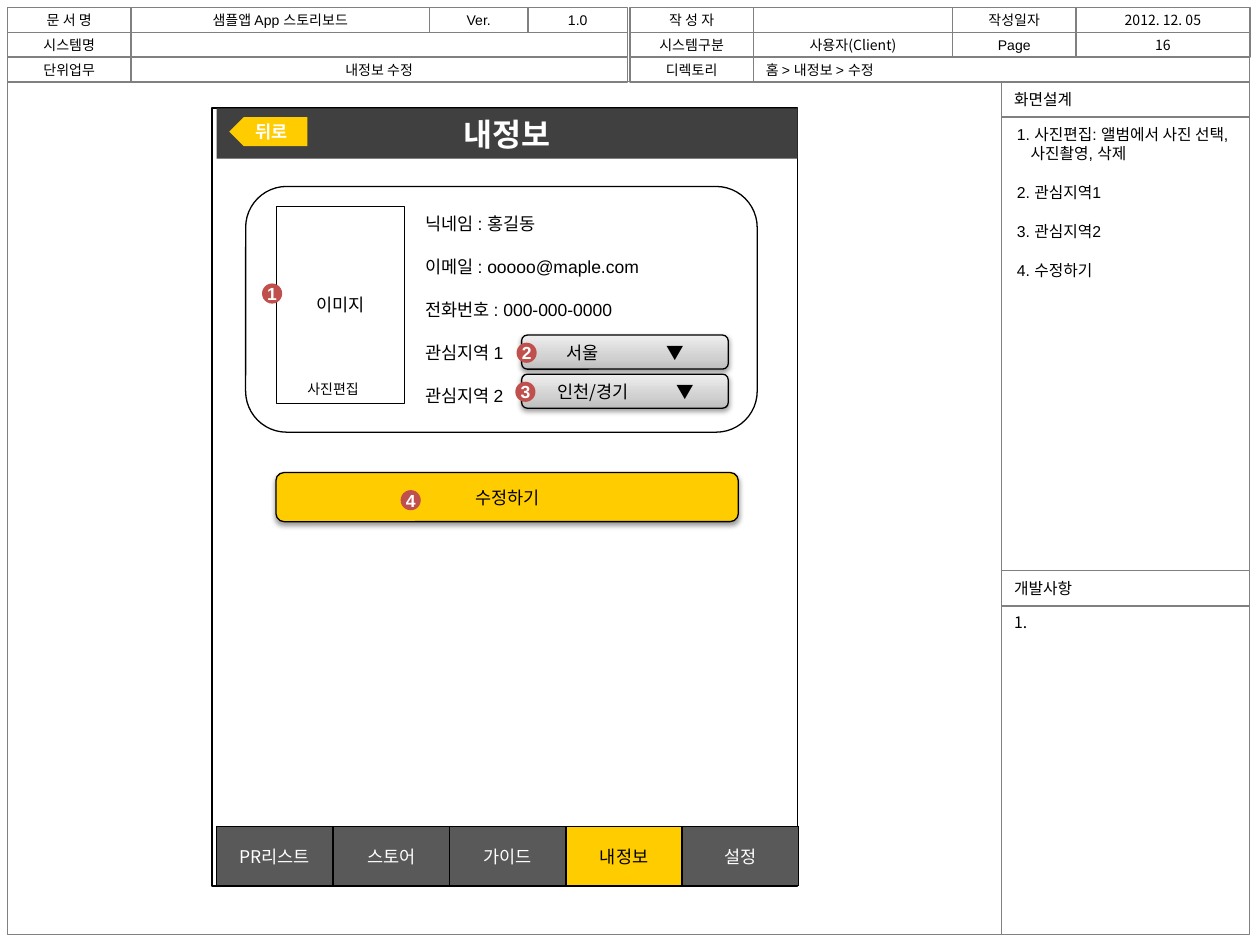
"""Build the storyboard slide for the profile editing screen of a mobile app."""
from lxml.etree import SubElement
from pptx import Presentation
from pptx.dml.color import RGBColor
from pptx.enum.shapes import MSO_SHAPE
from pptx.enum.text import MSO_ANCHOR, MSO_AUTO_SIZE, PP_ALIGN
from pptx.oxml import parse_xml
from pptx.oxml.ns import nsdecls, qn
from pptx.util import Inches, Pt

BLACK = RGBColor(0x00, 0x00, 0x00)
WHITE = RGBColor(0xFF, 0xFF, 0xFF)
GRAY = RGBColor(0x80, 0x80, 0x80)
DARK = RGBColor(0x40, 0x40, 0x40)
TAB_GRAY = RGBColor(0x59, 0x59, 0x59)
YELLOW = RGBColor(0xFF, 0xCC, 0x00)
RED = RGBColor(0xC0, 0x50, 0x4D)
GRADIENT = ((0, "BDBDBD"), (35, "D1D1D1"), (100, "EEEEEE"))
ARIAL, NOTO = "Arial", "Noto Sans CJK KR"
RECT, ROUNDED = MSO_SHAPE.RECTANGLE, MSO_SHAPE.ROUNDED_RECTANGLE
LEFT, CENTER = PP_ALIGN.LEFT, PP_ALIGN.CENTER
TOP, MIDDLE = MSO_ANCHOR.TOP, MSO_ANCHOR.MIDDLE

HEADER_EDGES = (0.06, 1.04, 3.41, 4.19, 4.98, 5.0, 5.98, 7.56, 8.54, 9.92)
HEADER_TOP, HEADER_HEIGHT = 0.06, 0.197
HEADER_ROWS = [
    [(0, 1, "문 서 명", ARIAL), (1, 2, "샘플앱 App 스토리보드", ARIAL), (2, 3, "Ver.", ARIAL),
     (3, 4, "1.0", ARIAL), (5, 6, "작 성 자", ARIAL), (6, 7, "", ARIAL),
     (7, 8, "작성일자", ARIAL), (8, 9, "2012. 12. 05", NOTO)],
    [(0, 1, "시스템명", ARIAL), (1, 4, "", ARIAL), (5, 6, "시스템구분", ARIAL),
     (6, 7, "사용자(Client)", NOTO), (7, 8, "Page", ARIAL), (8, 9, "16", NOTO)],
    [(0, 1, "단위업무", ARIAL), (1, 4, "내정보 수정", ARIAL), (5, 6, "디렉토리", ARIAL),
     (6, 9, "홈 > 내정보 > 수정", ARIAL)],
]
PANELS = [
    ((0.06, 0.65, 7.89, 6.77), "", {}),
    ((7.95, 0.65, 1.97, 0.28), "화면설계", {}),
    ((7.95, 0.93, 1.97, 3.6), "", {}),
    ((7.95, 4.53, 1.97, 0.28), "개발사항", {}),
    ((7.95, 4.81, 1.97, 2.61), "1.", {"font": NOTO, "anchor": TOP}),
]
NOTES = ["1. 사진편집: 앨범에서 사진 선택,\v사진촬영, 삭제", "2. 관심지역1", "3. 관심지역2", "4. 수정하기"]
PROFILE = ["닉네임 : 홍길동", "이메일 : ooooo@maple.com", "전화번호 : 000-000-0000",
           "관심지역 1", "관심지역 2"]
SELECTS = [(2.66, "서울", 0.34, 0.8), (2.97, "인천/경기", 0.27, 0.95)]
TABS = ["PR리스트", "스토어", "가이드", "내정보", "설정"]
ACTIVE_TAB = "내정보"
BADGES = [("1", 2.08, 2.25), ("2", 4.1, 2.72), ("3", 4.09, 3.03), ("4", 3.18, 3.89)]

presentation = Presentation()
presentation.slide_width, presentation.slide_height = Inches(10), Inches(7.5)
slide = presentation.slides.add_slide(presentation.slide_layouts[1])


def place(shape, bounds):
    for name, value in zip(("left", "top", "width", "height"), bounds):
        setattr(shape, name, Inches(value))


def write(frame, lines, size=10, font=ARIAL, color=BLACK, bold=False, align=CENTER,
          anchor=MIDDLE, gap=0, insets=(0.1, 0.05, 0.1, 0.05)):
    margins = ("margin_left", "margin_top", "margin_right", "margin_bottom")
    settings = dict(zip(margins, map(Inches, insets)))
    settings.update(word_wrap=True, auto_size=MSO_AUTO_SIZE.NONE, vertical_anchor=anchor)
    for name, value in settings.items():
        setattr(frame, name, value)
    for index, line in enumerate(lines):
        paragraph = frame.add_paragraph() if index else frame.paragraphs[0]
        paragraph.text = line
        paragraph.alignment = align
        paragraph.space_before = Pt(gap if index else 0)
        for run in paragraph.runs:
            for name, value in {"size": Pt(size), "name": font, "bold": bold}.items():
                setattr(run.font, name, value)
            run.font.color.rgb = color


def add_box(kind, bounds, text="", fill=None, line=None, width=0.75, **format_values):
    shape = slide.shapes.add_shape(kind, *map(Inches, bounds))
    shape.shadow.inherit = False
    if fill is None:
        shape.fill.background()
    else:
        shape.fill.solid()
        shape.fill.fore_color.rgb = fill
    if line is None:
        shape.line.fill.background()
    else:
        shape.line.color.rgb = line
        shape.line.width = Pt(width)
    if text:
        write(shape.text_frame, [text], **format_values)
    return shape


def add_text(bounds, lines, **format_values):
    box = slide.shapes.add_textbox(*map(Inches, bounds))
    write(box.text_frame, lines, **format_values)


def add_shadow(shape):
    effects = shape.element.spPr.find(qn("a:effectLst"))
    effects.append(parse_xml(
        f'<a:outerShdw {nsdecls("a")} blurRad="39370" dist="20320" dir="5400000" rotWithShape="0">'
        '<a:srgbClr val="000000"><a:alpha val="38000"/></a:srgbClr></a:outerShdw>'))


def add_gradient(shape):
    stops = "".join(f'<a:gs pos="{position * 1000}"><a:srgbClr val="{color}"/></a:gs>'
                    for position, color in GRADIENT)
    properties = shape.element.spPr
    properties.replace(properties.find(qn("a:noFill")), parse_xml(
        f'<a:gradFill {nsdecls("a")}><a:gsLst>{stops}</a:gsLst>'
        '<a:lin ang="16200000" scaled="0"/></a:gradFill>'))


for row, cells in enumerate(HEADER_ROWS):
    for first, last, text, font in cells:
        left, right = HEADER_EDGES[first], HEADER_EDGES[last]
        add_box(RECT, (left, HEADER_TOP + row * HEADER_HEIGHT, right - left, HEADER_HEIGHT), text,
                line=GRAY, size=8, font=font, align=LEFT if ">" in text else CENTER)

for bounds, text, format_values in PANELS:
    add_box(RECT, bounds, text, line=GRAY, size=9, align=LEFT, **format_values)

notes = slide.placeholders[1]
place(notes, (7.97, 0.94, 2.03, 1.31))
write(notes.text_frame, NOTES, size=9, align=LEFT, anchor=TOP, gap=11.4, insets=(0.1, 0.05, 0, 0.05))
for paragraph in notes.text_frame.paragraphs:
    properties = paragraph._p.get_or_add_pPr()
    properties.set("marL", str(Inches(0.11)))
    properties.set("indent", str(-Inches(0.11)))
    SubElement(properties, qn("a:buNone"))

phone = add_box(RECT, (1.68, 0.86, 4.65, 6.17), fill=WHITE, line=BLACK, width=1)
title = slide.shapes.title
phone.element.addnext(title.element)
place(title, (1.72, 0.86, 4.61, 0.4))
title.fill.solid()
title.fill.fore_color.rgb = DARK
write(title.text_frame, ["내정보"], size=18, color=WHITE, bold=True)

back = add_box(MSO_SHAPE.PENTAGON, (1.82, 0.93, 0.62, 0.23), fill=YELLOW)
back.rotation = 180
add_text((1.93, 0.91, 0.86, 0.27), ["뒤로"], color=WHITE, bold=True, align=LEFT)

table_frame = slide.shapes.add_table(1, len(TABS), Inches(1.72), Inches(6.56), Inches(4.62), Inches(0.47))
for cell, label in zip(table_frame.table.rows[0].cells, TABS):
    active = label == ACTIVE_TAB
    write(cell.text_frame, [label], font=NOTO, color=BLACK if active else WHITE)
    cell.vertical_anchor = MIDDLE
    properties = cell._tc.get_or_add_tcPr()
    for side in ("lnL", "lnR", "lnT", "lnB"):
        properties.append(parse_xml(
            f'<a:{side} {nsdecls("a")} w="12700"><a:solidFill><a:srgbClr val="000000"/>'
            f'</a:solidFill></a:{side}>'))
    cell.fill.solid()
    cell.fill.fore_color.rgb = YELLOW if active else TAB_GRAY

add_box(ROUNDED, (1.95, 1.48, 4.06, 1.95), fill=WHITE, line=BLACK)
add_box(RECT, (2.19, 1.64, 1.02, 1.56), "이미지", fill=WHITE, line=BLACK, width=0.25)
add_text((2.34, 2.97, 0.78, 0.24), ["사진편집"], size=8, align=LEFT)
add_text((3.28, 1.64, 2.5, 1.61), PROFILE, align=LEFT, anchor=TOP, gap=12.6)

for top, label, inset, tab in SELECTS:
    select = add_box(ROUNDED, (4.14, top, 1.64, 0.27), f"{label}\t▼", line=BLACK, font=NOTO,
                     align=LEFT, insets=(inset, 0.05, 0, 0.05))
    add_gradient(select)
    add_shadow(select)
    tab_list = SubElement(select.text_frame.paragraphs[0]._p.get_or_add_pPr(), qn("a:tabLst"))
    SubElement(tab_list, qn("a:tab"), pos=str(Inches(tab)), algn="l")

add_shadow(add_box(ROUNDED, (2.19, 3.75, 3.67, 0.39), "수정하기", fill=YELLOW, line=BLACK, font=NOTO))

for number, left, top in BADGES:
    add_box(MSO_SHAPE.OVAL, (left, top, 0.16, 0.16), number, fill=RED, color=WHITE, bold=True,
            insets=(0, 0, 0, 0)).text_frame.word_wrap = False

presentation.save("out.pptx")
